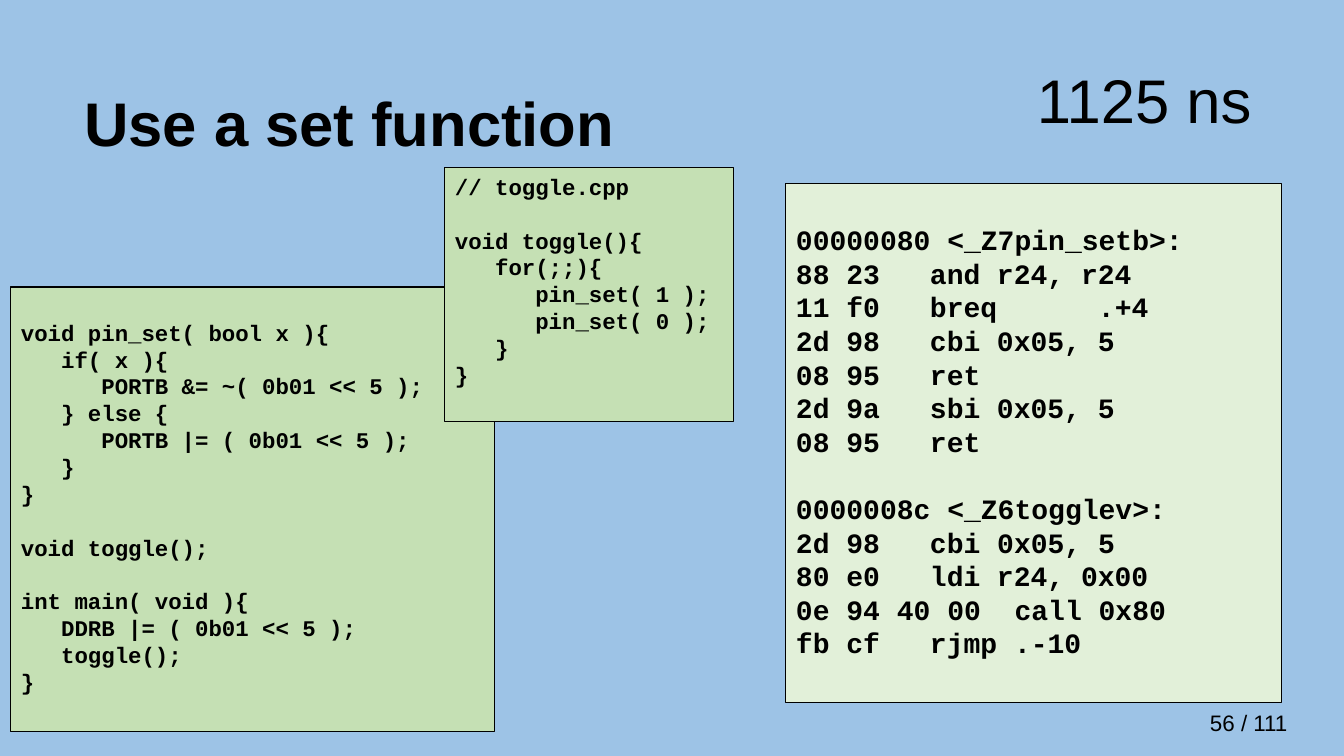
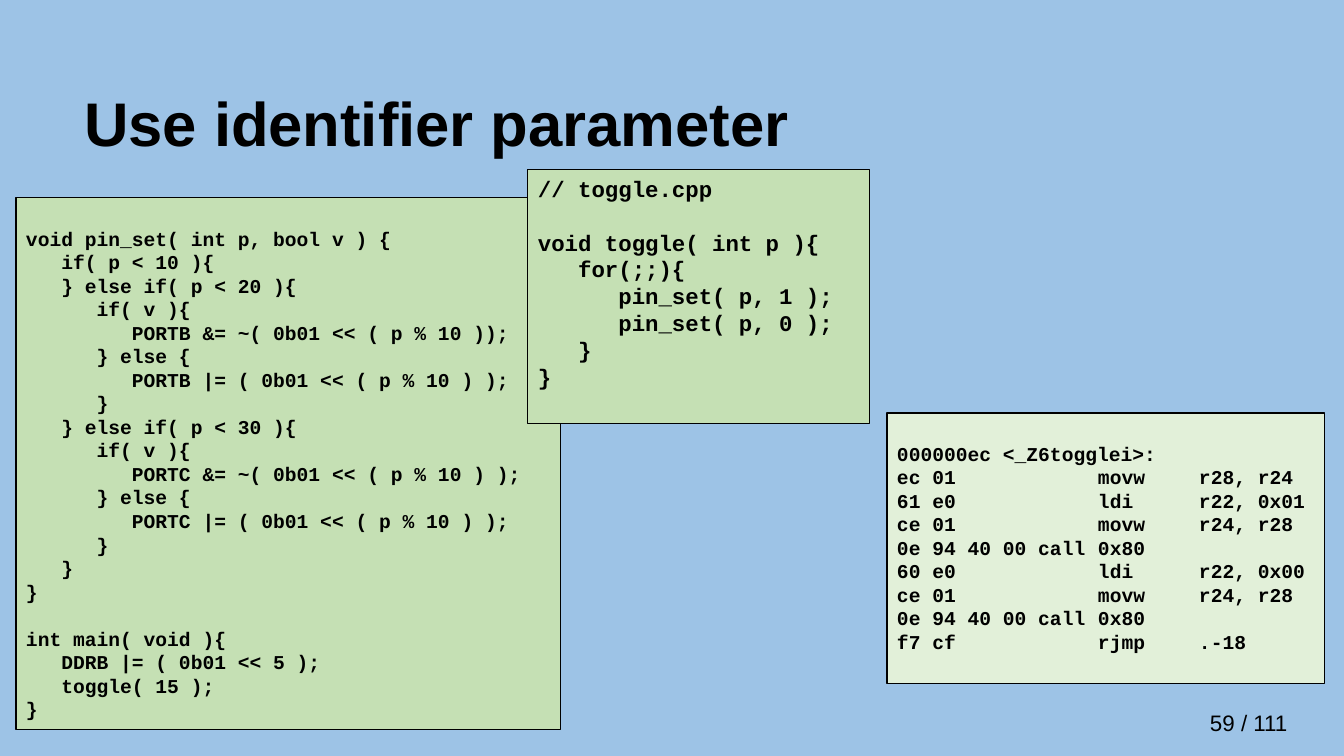
from dataclasses import dataclass

from lxml.etree import SubElement
from pptx import Presentation
from pptx.dml.color import RGBColor
from pptx.enum.shapes import MSO_SHAPE
from pptx.enum.text import MSO_ANCHOR, PP_ALIGN
from pptx.oxml.ns import qn
from pptx.util import Emu, Pt


@dataclass(frozen=True)
class Theme:
    background: RGBColor = RGBColor(0x9D, 0xC3, 0xE6)
    source: RGBColor = RGBColor(0xC5, 0xE0, 0xB4)
    assembly: RGBColor = RGBColor(0xE2, 0xF0, 0xD9)
    ink: RGBColor = RGBColor(0, 0, 0)
    sans: str = "Arial"
    mono: str = "Courier New"
    title_size: int = 44
    page_size: int = 16
    border: float = 0.75
    code_line: float = 1.2


theme = Theme()
PX_PER_INCH = 100.8
INSET_X, INSET_Y = 10, 5


def px(n):
    return Emu(round(n * 914400 / PX_PER_INCH))


def add_text(sp, lines, font, size, bold=False, spacing=None,
             anchor=MSO_ANCHOR.TOP, stops=()):
    tf = sp.text_frame
    tf.word_wrap = True
    tf.vertical_anchor = anchor
    tf.margin_left = tf.margin_right = px(INSET_X)
    tf.margin_top = tf.margin_bottom = px(INSET_Y)
    gap = 0
    p = None
    for line in lines:
        if not line:
            gap += size * theme.code_line
            continue
        if p is None:
            p = tf.paragraphs[0]
            tf.margin_top = px(INSET_Y) + Pt(gap)
        else:
            p = tf.add_paragraph()
            if gap:
                p.space_before = Pt(gap)
        gap = 0
        p.alignment = PP_ALIGN.LEFT
        if spacing:
            p.line_spacing = spacing
        if "\t" in line:
            tabs = SubElement(p._p.get_or_add_pPr(), qn("a:tabLst"))
            for stop in stops:
                SubElement(tabs, qn("a:tab"), pos=str(px(stop)), algn="l")
        r = p.add_run()
        r.text = line
        r.font.name = font
        r.font.size = Pt(size)
        r.font.bold = bold
        r.font.color.rgb = theme.ink


PIN_SET_BOOL = """
void pin_set( bool x ){
   if( x ){
      PORTB &= ~( 0b01 << 5 );
   } else {
      PORTB |= ( 0b01 << 5 );
   }
}

void toggle();

int main( void ){
   DDRB |= ( 0b01 << 5 );
   toggle();
}"""

TOGGLE_FIXED = """// toggle.cpp

void toggle(){
   for(;;){
      pin_set( 1 );
      pin_set( 0 );
   }
}"""

ASM_FIXED = """
00000080 <_Z7pin_setb>:
88 23\tand\tr24, r24
11 f0\tbreq\t.+4
2d 98\tcbi\t0x05, 5
08 95\tret
2d 9a\tsbi\t0x05, 5
08 95\tret

0000008c <_Z6togglev>:
2d 98\tcbi 0x05, 5
80 e0\tldi\tr24, 0x00
0e 94 40 00  call 0x80
fb cf\trjmp .-10"""

PIN_SET_INT = """
void pin_set( int p, bool v ) {
   if( p < 10 ){
   } else if( p < 20 ){
      if( v ){
         PORTB &= ~( 0b01 << ( p % 10 ));
      } else {
         PORTB |= ( 0b01 << ( p % 10 ) );
      }
   } else if( p < 30 ){
      if( v ){
         PORTC &= ~( 0b01 << ( p % 10 ) );
      } else {
         PORTC |= ( 0b01 << ( p % 10 ) );
      }
   }
}

int main( void ){
   DDRB |= ( 0b01 << 5 );
   toggle( 15 );
}"""

TOGGLE_PARAM = """// toggle.cpp

void toggle( int p ){
   for(;;){
      pin_set( p, 1 );
      pin_set( p, 0 );
   }
}"""

ASM_PARAM = """
000000ec <_Z6togglei>:
ec 01\tmovw\tr28, r24
61 e0\tldi\tr22, 0x01
ce 01\tmovw\tr24, r28
0e 94 40 00 call\t0x80
60 e0\tldi\tr22, 0x00
ce 01\tmovw\tr24, r28
0e 94 40 00 call\t0x80
f7 cf\trjmp\t.-18"""

slides = [
    ("Use a set function", "1125 ns", "56 / 111", [
        ((11, 287, 484, 445), theme.source, 16, PIN_SET_BOOL, ()),
        ((445, 168, 289, 254), theme.source, 16, TOGGLE_FIXED, ()),
        ((786, 184, 496, 519), theme.assembly, 20, ASM_FIXED, (134, 201, 302)),
    ]),
    ("Use identifier parameter", None, "59 / 111", [
        ((16, 198, 545, 532), theme.source, 14, PIN_SET_INT, ()),
        ((528, 170, 342, 254), theme.source, 16, TOGGLE_PARAM, ()),
        ((887, 413, 438, 271), theme.assembly, 14, ASM_PARAM, (201, 302)),
    ]),
]

prs = Presentation()
prs.slide_width, prs.slide_height = px(1344), px(756)
fill = prs.slide_master.background.fill
fill.solid()
fill.fore_color.rgb = theme.background

for title, timing, page, code_boxes in slides:
    s = prs.slides.add_slide(prs.slide_layouts[6])

    sp = s.shapes.add_textbox(px(1200), px(704), px(126), px(37))
    add_text(sp, [page], theme.sans, theme.page_size)

    sp = s.shapes.add_textbox(px(74), px(53), px(1159), px(146))
    add_text(sp, [title], theme.sans, theme.title_size, bold=True,
             spacing=0.9, anchor=MSO_ANCHOR.MIDDLE)

    for box, color, size, code, stops in code_boxes:
        sp = s.shapes.add_shape(MSO_SHAPE.RECTANGLE, *map(px, box))
        sp.shadow.inherit = False
        sp.fill.solid()
        sp.fill.fore_color.rgb = color
        sp.line.color.rgb = theme.ink
        sp.line.width = Pt(theme.border)
        add_text(sp, code.split("\n"), theme.mono, size, bold=True, stops=stops)

    if timing:
        sp = s.shapes.add_textbox(px(1027), px(65), px(257), px(89))
        add_text(sp, [timing], theme.sans, theme.title_size, spacing=0.9)

prs.save("out.pptx")
